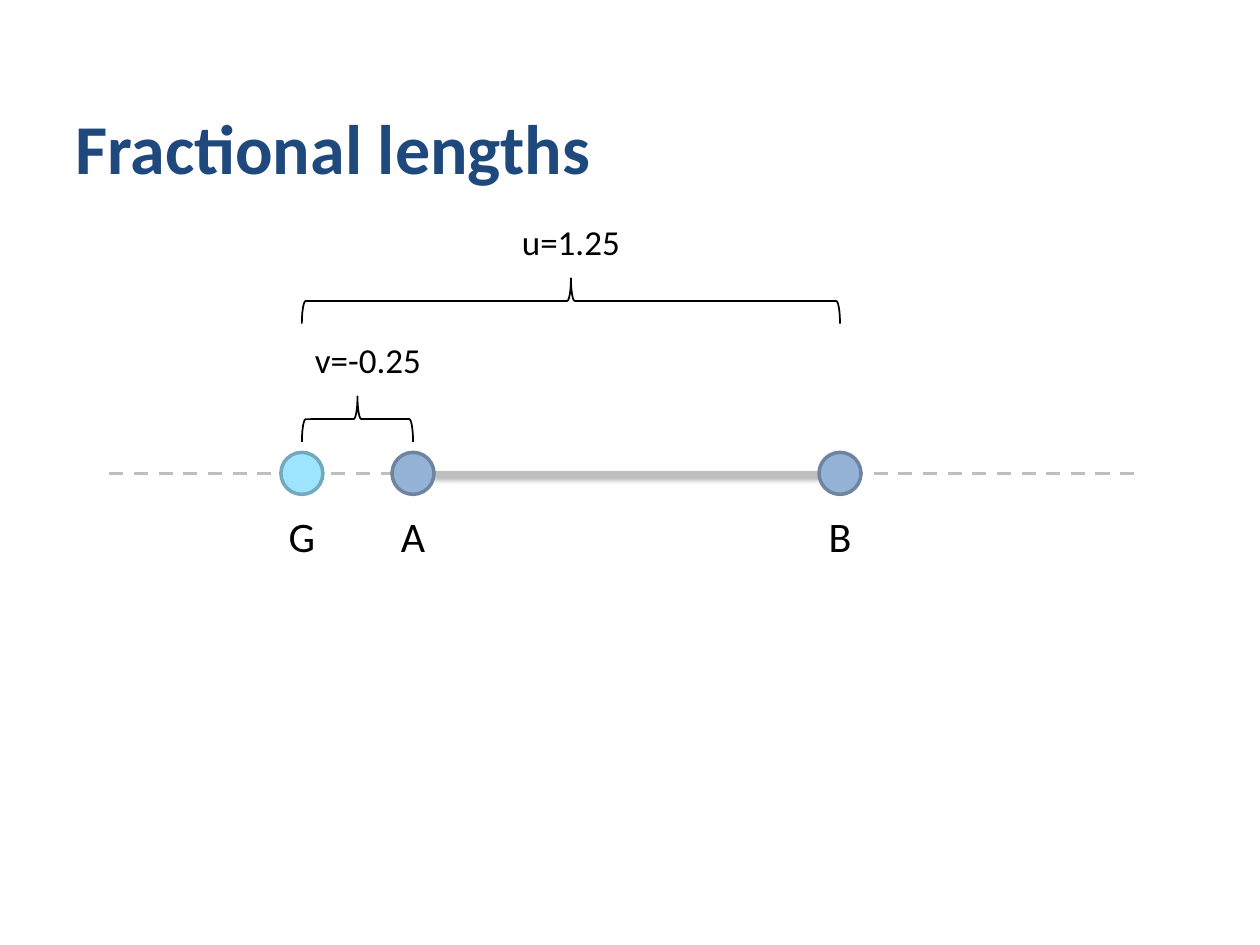
from lxml import etree
from pptx import Presentation
from pptx.dml.color import RGBColor
from pptx.enum.dml import MSO_LINE
from pptx.enum.shapes import MSO_CONNECTOR, MSO_SHAPE
from pptx.enum.text import MSO_ANCHOR, PP_ALIGN
from pptx.oxml import parse_xml
from pptx.oxml.ns import nsdecls, qn
from pptx.util import Pt

COLORS = {
    "title": "1F497D",
    "text": "000000",
    "axis": "BFBFBF",
    "endpoint": "95B3D7",
    "endpoint_edge": "6E849F",
    "ghost": "9DE4FF",
    "ghost_edge": "74A9BD",
}
FONT = "Calibri"
DOT = 24
BRACE_DEPTH = 26

# Horizontal offsets within the diagram
POINTS = {"G": 110, "A": 173.5, "B": 417.5}
AXIS_Y = 148.5


def rgb(name):
    return RGBColor.from_string(COLORS[name])


def add_text(slide, box, text, size, color="text", bold=False,
             align=PP_ALIGN.CENTER, anchor=MSO_ANCHOR.TOP, wrap=False):
    frame = slide.shapes.add_textbox(*map(Pt, box)).text_frame
    frame.word_wrap = wrap
    frame.vertical_anchor = anchor
    paragraph = frame.paragraphs[0]
    paragraph.alignment = align
    run = paragraph.add_run()
    run.text = text
    run.font.name = FONT
    run.font.size = Pt(size)
    run.font.bold = bold
    run.font.color.rgb = rgb(color)


def add_line(slide, start, end, y, width):
    line = slide.shapes.add_connector(
        MSO_CONNECTOR.STRAIGHT, Pt(start), Pt(y), Pt(end), Pt(y))
    line.line.color.rgb = rgb("axis")
    line.line.width = Pt(width)
    effects = etree.SubElement(line._element.spPr, qn("a:effectLst"))
    return line, effects


def add_axis(slide, left, right, y):
    axis, _ = add_line(slide, left, right, y, 2)
    axis.line.dash_style = MSO_LINE.DASH


def add_segment(slide, start, end, y):
    """Solid line with a soft shadow below it."""
    _, effects = add_line(slide, start, end, y, 3)
    effects.append(parse_xml(
        f'<a:outerShdw {nsdecls("a")} blurRad="{Pt(3.1)}" dist="{Pt(1.8)}" '
        'dir="5400000" rotWithShape="0"><a:srgbClr val="000000">'
        '<a:alpha val="35000"/></a:srgbClr></a:outerShdw>'))


def add_point(slide, x, y, label, color):
    dot = slide.shapes.add_shape(
        MSO_SHAPE.OVAL, Pt(x - DOT / 2), Pt(y - DOT / 2), Pt(DOT), Pt(DOT))
    dot.shadow.inherit = False
    dot.fill.solid()
    dot.fill.fore_color.rgb = rgb(color)
    dot.line.color.rgb = rgb(f"{color}_edge")
    dot.line.width = Pt(2)
    add_text(slide, (x - 15, y + 17.5, 30, 36), label, 24)


def add_length(slide, start, end, top, label, label_shift=0):
    """Upward brace from start to end with its value above it."""
    middle, length = (start + end) / 2, end - start
    # Placed upright, then turned about its centre
    brace = slide.shapes.add_shape(
        MSO_SHAPE.LEFT_BRACE,
        Pt(middle - BRACE_DEPTH / 2), Pt(top + (BRACE_DEPTH - length) / 2),
        Pt(BRACE_DEPTH), Pt(length))
    brace.rotation = 90
    brace.shadow.inherit = False
    brace.fill.background()
    brace.line.color.rgb = rgb("text")
    brace.line.width = Pt(1)
    add_text(slide, (middle + label_shift - 38, top - 36.5, 76, 32), label, 20)


def add_title(slide, box):
    add_text(slide, box, "Fractional lengths", 40, "title", bold=True,
             align=PP_ALIGN.LEFT, anchor=MSO_ANCHOR.BOTTOM, wrap=True)


def add_diagram(slide, box):
    left, top, width, _ = box
    y = top + AXIS_Y
    x = {name: left + offset for name, offset in POINTS.items()}
    add_axis(slide, left, left + width, y)
    add_segment(slide, x["A"] + DOT / 2, x["B"] - DOT / 2, y)
    for name in ("B", "A", "G"):
        add_point(slide, x[name], y, name, "ghost" if name == "G" else "endpoint")
    add_length(slide, x["G"], x["A"], top + 104.5, "v=-0.25", label_shift=6)
    add_length(slide, x["G"], x["B"], top + 37, "u=1.25")


def main():
    deck = Presentation()
    deck.slide_width, deck.slide_height = Pt(720), Pt(540)
    slide = deck.slides.add_slide(deck.slide_layouts[6])
    add_title(slide, (36, 9.5, 594, 102))
    add_diagram(slide, (62.5, 122, 586, 202))
    deck.save("out.pptx")


if __name__ == "__main__":
    main()
